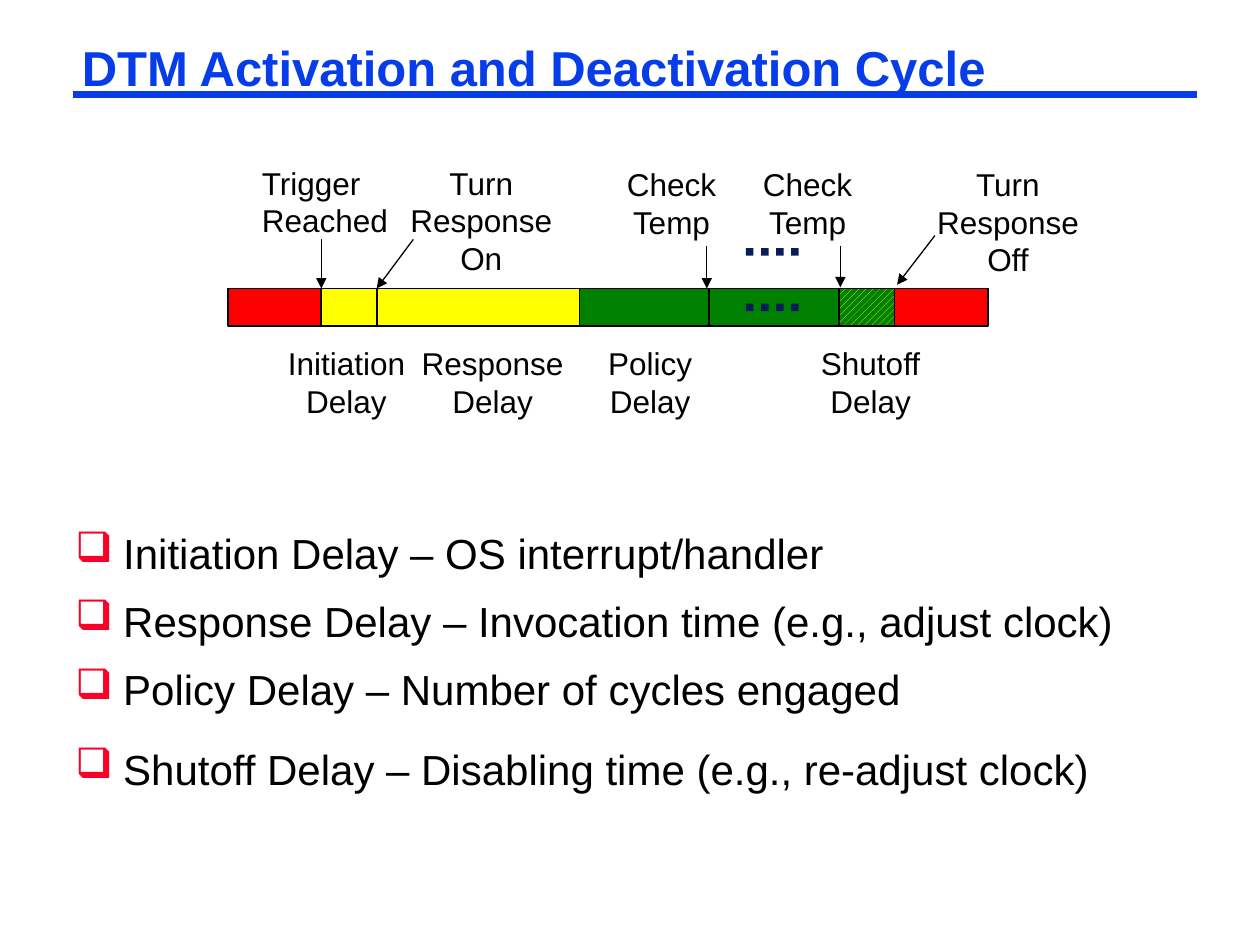
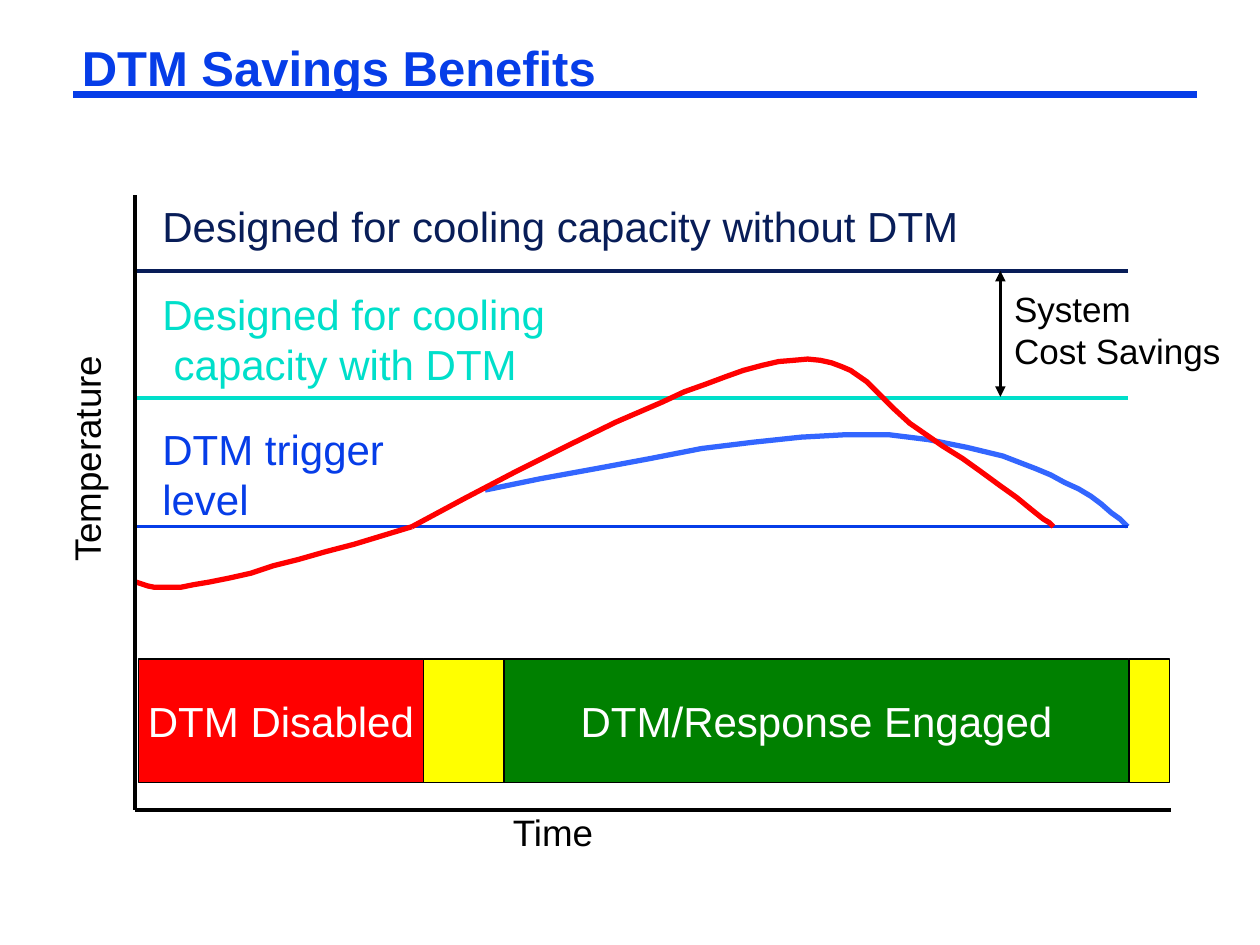
from itertools import accumulate

from lxml.etree import SubElement
from pptx import Presentation
from pptx.dml.color import RGBColor
from pptx.enum.dml import MSO_PATTERN
from pptx.enum.shapes import MSO_CONNECTOR, MSO_SHAPE
from pptx.enum.text import MSO_ANCHOR, PP_ALIGN
from pptx.oxml.ns import qn
from pptx.util import Pt

PX = 9144
FONT = "Arial"
BLACK, WHITE = "000000", "FFFFFF"
BLUE, NAVY, TEAL, CURVE_BLUE = "063DE8", "081D58", "00DFCA", "3366FF"
RED, YELLOW, GREEN, BULLET_RED = "FF0000", "FFFF00", "008000", "FC0128"

ENGAGED_CURVE = [
    (278, 234), (322, 225), (366, 217), (409, 209), (450, 201), (491, 196),
    (529, 192), (565, 190), (582, 190), (598, 190), (614, 192), (630, 194),
    (660, 200), (689, 207), (715, 217), (727, 222), (738, 228), (749, 233),
    (759, 239), (767, 245), (775, 252), (782, 257), (788, 263)]
ABOVE_TRIGGER_CURVE = [
    (220, 263), (261, 241), (303, 219), (343, 199), (382, 180), (419, 164),
    (436, 156), (453, 150), (469, 144), (483, 139), (498, 135), (511, 132),
    (523, 131), (534, 130), (544, 131), (553, 133), (561, 136), (568, 139),
    (581, 148), (592, 159), (603, 170), (615, 181), (628, 190), (641, 199),
    (657, 209), (671, 219), (686, 230), (700, 240), (711, 249), (721, 257),
    (726, 260), (729, 263)]
BELOW_TRIGGER_CURVE = [
    (220, 263), (174, 277), (151, 283), (130, 289), (110, 294), (92, 300),
    (74, 304), (59, 307), (47, 309), (37, 311), (28, 311), (21, 311),
    (15, 311), (10, 310), (1, 307)]


def px(*lengths):
    """Turn px lengths into EMU."""
    return [length * PX for length in lengths]


def color(value):
    """Turn a hex string into a colour."""
    return RGBColor.from_string(value)


def write(frame, text, size, ink, align=PP_ALIGN.LEFT, bold=False):
    """Fill a text frame and format every run."""
    frame.text = text
    for para in frame.paragraphs:
        para.alignment = align
        for span in para.runs:
            span.font.name = FONT
            span.font.size = Pt(size)
            span.font.bold = bold
            span.font.color.rgb = color(ink)


def set_insets(frame, side, edge):
    """Set the side and the top and bottom insets in px."""
    frame.margin_left = frame.margin_right = side * PX
    frame.margin_top = frame.margin_bottom = edge * PX


def add_text(page, box, text, size=18, ink=BLACK, align=PP_ALIGN.LEFT, wrap=False):
    """Add a text box at (left, top, width, height)."""
    label = page.shapes.add_textbox(*px(*box))
    label.text_frame.word_wrap = wrap
    write(label.text_frame, text, size, ink, align)
    return label


def add_bar(page, box, fill, line_width=None):
    """Add a flat rectangle, outlined in black if a line width is given."""
    bar = page.shapes.add_shape(MSO_SHAPE.RECTANGLE, *px(*box))
    bar.shadow.inherit = False
    bar.fill.solid()
    bar.fill.fore_color.rgb = color(fill)
    if line_width:
        bar.line.color.rgb = color(BLACK)
        bar.line.width = Pt(line_width)
    else:
        bar.line.fill.background()
    return bar


def add_line(page, start, end, ink=BLACK, width=2, arrows=()):
    """Add a straight line with arrowheads at the named ends."""
    line = page.shapes.add_connector(MSO_CONNECTOR.STRAIGHT, *px(*start, *end))
    line.line.color.rgb = color(ink)
    line.line.width = Pt(width)
    for end_name in arrows:
        SubElement(line.line._get_or_add_ln(), qn(f"a:{end_name}"), type="triangle")
    SubElement(line._element.spPr, qn("a:effectLst"))


def add_curve(page, left, top, points, ink):
    """Add an open curve whose points are relative to left and top."""
    start, *rest = [(left + x, top + y) for x, y in points]
    builder = page.shapes.build_freeform(*start, scale=PX)
    builder.add_line_segments(rest, close=False)
    curve = builder.convert_to_shape()
    curve.shadow.inherit = False
    curve.fill.background()
    curve.line.color.rgb = color(ink)
    curve.line.width = Pt(3)


def add_titled_page(deck, title):
    """Add a page with the shared title style and rule."""
    page = deck.slides.add_slide(deck.slide_layouts[5])
    add_line(page, (58, 75), (950, 75), BLUE, 4.5)
    holder = page.shapes.title
    holder.left, holder.top, holder.width, holder.height = px(58, 33, 892, 46)
    frame = holder.text_frame
    set_insets(frame, 7, 3)
    frame.vertical_anchor = MSO_ANCHOR.TOP
    write(frame, title, 28, BLUE, bold=True)
    frame.paragraphs[0].line_spacing = 0.87
    return page


def add_timeline(page, left, top):
    """Draw the activation cycle bar with its events and delays."""
    height = 30
    widths = [74, 44, 161, 103, 103, 44, 74]
    fills = [RED, YELLOW, YELLOW, GREEN, GREEN, GREEN, RED]
    offsets = accumulate(widths, initial=0)
    bars = [add_bar(page, (left + offset, top, width, height), fill, 1)
            for offset, width, fill in zip(offsets, widths, fills)]
    shutoff_fill = bars[5].fill
    shutoff_fill.patterned()
    shutoff_fill.pattern = MSO_PATTERN.WIDE_UPWARD_DIAGONAL
    shutoff_fill.fore_color.rgb = color(YELLOW)
    shutoff_fill.back_color.rgb = color(GREEN)

    for dot_top in (-32, 12):
        for column in range(4):
            add_bar(page, (left + 411 + 12 * column, top + dot_top, 6, 6), NAVY)

    add_text(page, (left + 17, top - 104, 120, 70), "Trigger\nReached")
    labels = [
        ("Turn\nResponse On", 126, -104, 100), ("Check\nTemp", 277, -103, 70),
        ("Check\nTemp", 385, -103, 70), ("Turn\nResponse Off", 544, -103, 100),
        ("Initiation\nDelay", 19, 39, 70), ("Response\nDelay", 135, 39, 70),
        ("Policy\nDelay", 260, 39, 70), ("Shutoff\nDelay", 435, 39, 70)]
    for text, x, y, label_height in labels:
        add_text(page, (left + x, top + y, 150, label_height), text,
                 align=PP_ALIGN.CENTER, wrap=True)

    events = [(74, -39, 74, 0), (147, -39, 118, 0), (380, -34, 380, 0),
              (486, -34, 486, -1), (561, -42, 531, -3)]
    for x1, y1, x2, y2 in events:
        add_line(page, (left + x1, top + y1), (left + x2, top + y2),
                 width=0.75, arrows=["tailEnd"])


def add_definitions(page, left, top, width):
    """List the four delays with square bullets."""
    definitions = [
        ("Initiation Delay – OS interrupt/handler", 0),
        ("Response Delay – Invocation time (e.g., adjust clock)", 54),
        ("Policy Delay – Number of cycles engaged", 108),
        ("Shutoff Delay – Disabling time (e.g., re-adjust clock)", 171)]
    for text, y in definitions:
        item = add_text(page, (left, top + y, width, 54), text, 24, wrap=True)
        properties = item.text_frame.paragraphs[0]._p.get_or_add_pPr()
        properties.set("marL", str(38 * PX))
        properties.set("indent", str(-38 * PX))
        bullet_color = SubElement(properties, qn("a:buClr"))
        SubElement(bullet_color, qn("a:srgbClr"), val=BULLET_RED)
        SubElement(properties, qn("a:buChar"), char="❑")


def add_phases(page, left, top, height):
    """Draw the row of DTM phases."""
    phases = [("DTM Disabled", 226, RED), ("", 64, YELLOW),
              ("DTM/Response Engaged", 496, GREEN), ("", 32, YELLOW)]
    for text, width, fill in phases:
        phase = add_bar(page, (left, top, width, height), fill, 0.75)
        if text:
            phase.text_frame.word_wrap = False
            phase.text_frame.vertical_anchor = MSO_ANCHOR.MIDDLE
            write(phase.text_frame, text, 24, WHITE, PP_ALIGN.CENTER)
        left += width


def add_axis_title(page, box, text, rotation=0):
    """Add an axis title without insets."""
    label = add_text(page, box, text, 21)
    set_insets(label.text_frame, 0, 0)
    label.rotation = rotation


def add_temperature_plot(page, left, top, width, height):
    """Draw temperature over time with its levels, curves and phases."""
    bottom = top + height
    add_axis_title(page, (left + 300, bottom, 65, 35), "Time")
    add_axis_title(page, (left - 122, top + 190, 167, 35), "Temperature", 270)
    add_curve(page, left, top, ENGAGED_CURVE, CURVE_BLUE)
    add_phases(page, left + 3, top + 368, 98)

    levels = [
        ("Designed for cooling capacity without DTM", NAVY, 60, -1, 652, 50),
        ("DTM trigger\nlevel", BLUE, 263, 176, 196, 90),
        ("Designed for cooling\ncapacity with DTM", TEAL, 161, 69, 324, 90)]
    for text, ink, level, text_top, text_width, text_height in levels:
        add_line(page, (left + 1, top + level), (left + 788, top + level), ink)
        label = add_text(page, (left + 12, top + text_top, text_width, text_height),
                         text, 24, ink)
    second_line = label.text_frame.paragraphs[1]
    second_line._p.get_or_add_pPr().set("marL", str(9 * PX))

    add_curve(page, left, top, ABOVE_TRIGGER_CURVE, RED)
    add_curve(page, left, top, BELOW_TRIGGER_CURVE, RED)
    add_line(page, (left, top), (left, bottom))
    add_line(page, (left + width, bottom), (left, bottom))
    add_line(page, (left + 687, top + 60), (left + 687, top + 160),
             width=1.5, arrows=["headEnd", "tailEnd"])
    add_text(page, (left + 688, top + 68, 184, 77), "System\nCost Savings", 20)


def main():
    """Build and save the deck."""
    deck = Presentation()
    deck.slide_width, deck.slide_height = px(1000, 750)

    cycle_page = add_titled_page(deck, "DTM Activation and Deactivation Cycle")
    add_timeline(cycle_page, 181, 229)
    add_definitions(cycle_page, 50, 414, 894)

    savings_page = add_titled_page(deck, "DTM Savings Benefits")
    add_temperature_plot(savings_page, 107, 155, 822, 488)

    deck.save("out.pptx")


if __name__ == "__main__":
    main()
